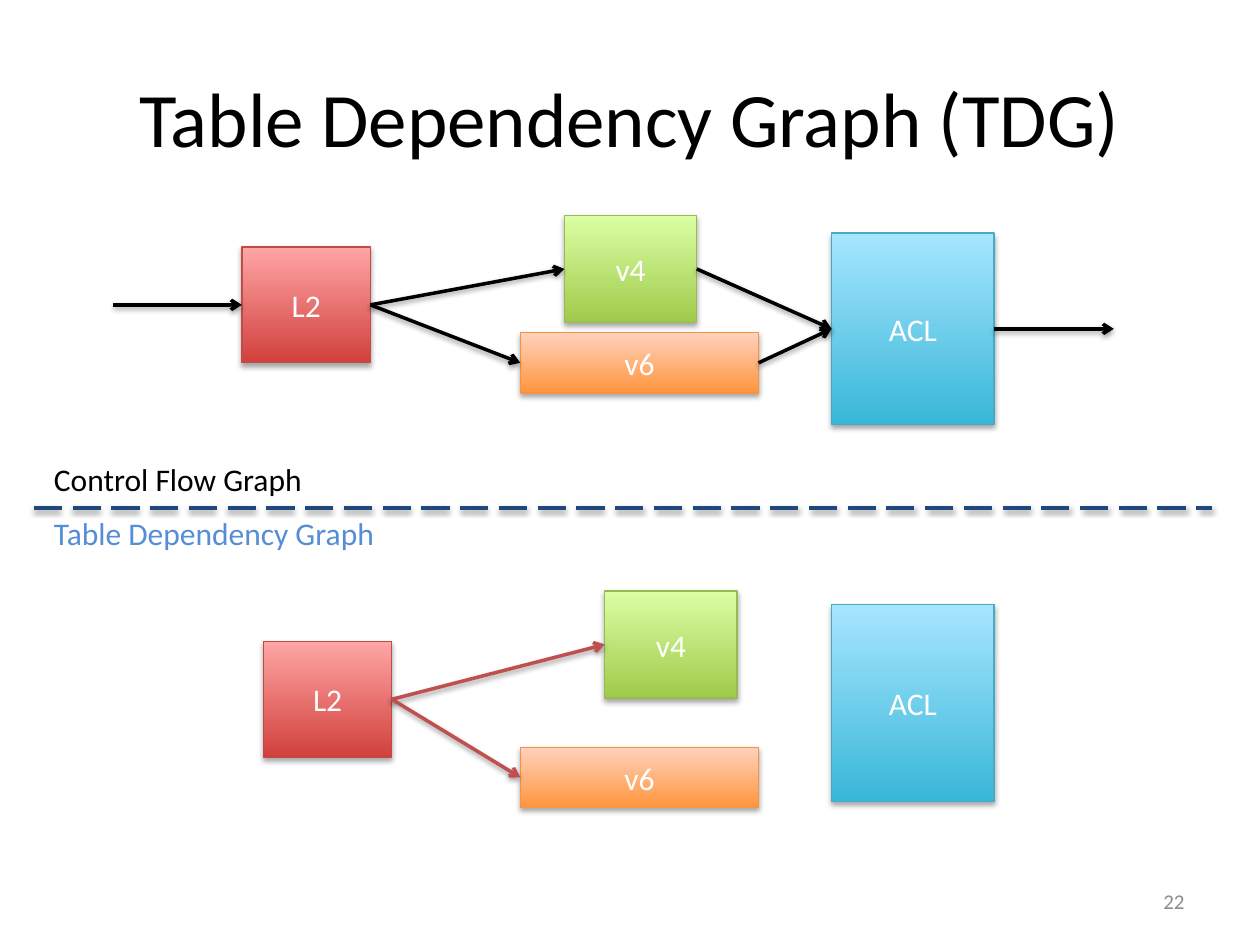
from lxml import etree
from pptx import Presentation
from pptx import util as u
from pptx.dml.color import RGBColor
from pptx.enum import dml, shapes, text
from pptx.oxml import ns

HUES = {"black": "000000", "white": "FFFFFF", "navy": "1F497D",
        "blue": "558ED5", "red": "C0504D", "gray": "8C8C8C"}
# Kind of table: bottom colour, top colour, outline
TABLES = {"L2": ("D1403C", "FFA6A5", "BF4C48"),
          "v4": ("A0CA4A", "DAFFA5", "98B955"),
          "v6": ("FF953E", "FFD2BD", "F69240"),
          "ACL": ("39B7D8", "A7E6FF", "46AAC5")}
FLOW = {"L2": (1.92, 1.96, 1.02, 0.92), "v4": (4.48, 1.71, 1.05, 0.85),
        "v6": (4.13, 2.64, 1.89, 0.48), "ACL": (6.6, 1.85, 1.29, 1.52)}
DEPS = {"L2": (2.09, 5.09, 1.02, 0.92), "v4": (4.8, 4.69, 1.05, 0.85),
        "v6": (4.13, 5.93, 1.89, 0.48), "ACL": (6.6, 4.8, 1.29, 1.56)}
FORKS = [("L2", "v4"), ("L2", "v6")]
JOINS = [("v4", "ACL"), ("v6", "ACL")]
LEFT, RIGHT = 1, 3  # connection sites of a rectangle


def put(thing, **vals):
    for key, val in vals.items():
        setattr(thing, key, val)


def rgb(code):
    return RGBColor.from_string(code)


def add(parent, tag, **attrs):
    return etree.SubElement(parent, ns.qn(tag), attrs)


def shade(shape, dist, alpha):
    """Give a soft shadow that falls straight down."""
    glow = add(add(shape._element.spPr, "a:effectLst"), "a:outerShdw",
               blurRad="40000", dist=str(dist), dir="5400000", rotWithShape="0")
    add(add(glow, "a:srgbClr", val=HUES["black"]), "a:alpha", val=str(alpha))


def write(frame, words, hue, size=18, align=text.PP_ALIGN.LEFT,
          anchor=text.MSO_ANCHOR.TOP):
    put(frame, text=words, word_wrap=True, vertical_anchor=anchor)
    para = frame.paragraphs[0]
    para.alignment = align
    font = para.runs[0].font
    put(font, name="Calibri", size=u.Pt(size))
    font.color.rgb = rgb(HUES[hue])


def label(slide, words, area, hue, **style):
    box = slide.shapes.add_textbox(*map(u.Inches, area))
    write(box.text_frame, words, hue, **style)


def table_box(slide, name, area):
    box = slide.shapes.add_shape(shapes.MSO_SHAPE.RECTANGLE,
                                 *map(u.Inches, area))
    *stops, edge = TABLES[name]
    box.fill.gradient()
    box.fill.gradient_angle = 90
    for stop, code in zip(box.fill.gradient_stops, stops):
        stop.color.rgb = rgb(code)
    box.line.color.rgb = rgb(edge)
    box.line.width = u.Pt(0.75)
    shade(box, 23000, 35000)
    write(box.text_frame, name, "white", align=text.PP_ALIGN.CENTER,
          anchor=text.MSO_ANCHOR.MIDDLE)
    return box


def line(slide, hue, ends, start=None, stop=None, dash=None):
    """Draw a line between two points, or glued to the boxes given."""
    link = slide.shapes.add_connector(shapes.MSO_CONNECTOR.STRAIGHT,
                                      *map(u.Inches, ends))
    if start:
        link.begin_connect(start, RIGHT)
    if stop:
        link.end_connect(stop, LEFT)
    link.line.color.rgb = rgb(HUES[hue])
    link.line.width = u.Pt(2)
    if dash:
        link.line.dash_style = dash
    else:
        add(link.line._get_or_add_ln(), "a:tailEnd", type="arrow")
    shade(link, 20000, 38000)


def graph(slide, areas, links, hue):
    boxes = {name: table_box(slide, name, area) for name, area in areas.items()}
    for start, stop in links:
        line(slide, hue, (0, 0, 0, 0), boxes[start], boxes[stop])
    return boxes


def main():
    deck = Presentation()
    put(deck, slide_width=u.Inches(10), slide_height=u.Inches(7.5))
    slide = deck.slides.add_slide(deck.slide_layouts[5])
    title = slide.shapes.title
    put(title, left=u.Inches(0.5), top=u.Inches(0.3),
        width=u.Inches(9), height=u.Inches(1.25))
    middle = text.MSO_ANCHOR.MIDDLE
    write(title.text_frame, "Table Dependency Graph (TDG)", "black", size=44,
          align=text.PP_ALIGN.CENTER, anchor=middle)

    line(slide, "navy", (0.27, 4.03, 9.62, 4.03), dash=dml.MSO_LINE.LONG_DASH)
    label(slide, "Control Flow Graph", (0.33, 3.6, 2.61, 0.4), "black")
    label(slide, "Table Dependency Graph", (0.33, 4.03, 4.14, 0.4), "blue")

    flow = graph(slide, FLOW, FORKS + JOINS, "black")
    line(slide, "black", (0.9, 2.42, 1.92, 2.42), stop=flow["L2"])
    line(slide, "black", (7.89, 2.61, 8.84, 2.61), start=flow["ACL"])
    graph(slide, DEPS, FORKS, "red")

    label(slide, "22", (7.17, 6.95, 2.33, 0.4), "gray", size=12,
          align=text.PP_ALIGN.RIGHT, anchor=middle)
    deck.save("out.pptx")


if __name__ == "__main__":
    main()
